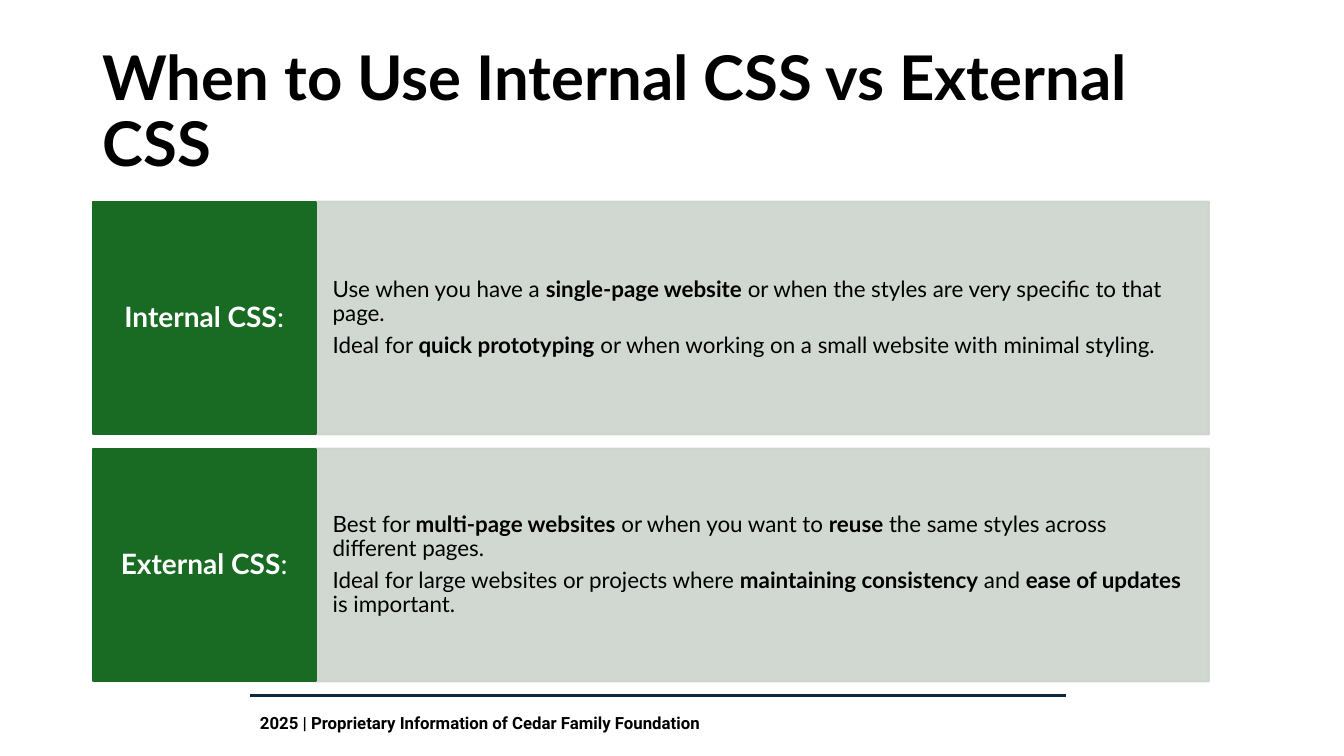
from dataclasses import dataclass

import lxml.etree
import pptx
import pptx.dml.color
import pptx.enum.shapes
import pptx.enum.text
import pptx.oxml.ns
import pptx.util

EMU_PER_PX = 9144  # 100 px to the inch
BLACK, WHITE, GREEN, SAGE, NAVY = "000000", "FFFFFF", "196B24", "CCD4CD", "0E2841"
ALIGN = pptx.enum.text.PP_ALIGN
ANCHOR = pptx.enum.text.MSO_ANCHOR


@dataclass(frozen=True)
class Box:
    left: int
    top: int
    width: int
    height: int


@dataclass(frozen=True)
class Usage:
    heading: str
    advice: tuple[str, ...]


# Text between ** marks is bold
USAGES = (
    Usage("**Internal CSS**:", (
        "Use when you have a **single-page website** or when the styles are "
        "very specific to that page.",
        "Ideal for **quick prototyping** or when working on a small website "
        "with minimal styling.",
    )),
    Usage("**External CSS**:", (
        "Best for **multi-page websites** or when you want to **reuse** the "
        "same styles across different pages.",
        "Ideal for large websites or projects where **maintaining consistency** "
        "and **ease of updates** is important.",
    )),
)
LABEL_LEFT, LABEL_WIDTH = 92, 221
ADVICE_WIDTH = 886
ROW_TOP, ROW_HEIGHT, ROW_PITCH = 200, 231, 245


def px(length: int) -> pptx.util.Emu:
    return pptx.util.Emu(length * EMU_PER_PX)


def rgb(color: str) -> pptx.dml.color.RGBColor:
    return pptx.dml.color.RGBColor.from_string(color)


def place(box: Box) -> tuple[pptx.util.Emu, ...]:
    return px(box.left), px(box.top), px(box.width), px(box.height)


def write(shape, paragraphs: tuple[str, ...], *, size: int, color: str = BLACK,
          font: str = "Lato", align=ALIGN.LEFT, anchor=ANCHOR.MIDDLE,
          inset: tuple[int, int] = (10, 5), spacing: float = 0.9,
          after: float = 0) -> None:
    frame = shape.text_frame
    frame.word_wrap = True
    frame.vertical_anchor = anchor
    frame.margin_left = frame.margin_right = px(inset[0])
    frame.margin_top = frame.margin_bottom = px(inset[1])
    for index, text in enumerate(paragraphs):
        paragraph = frame.add_paragraph() if index else frame.paragraphs[0]
        paragraph.alignment = align
        paragraph.line_spacing = spacing
        paragraph.space_after = pptx.util.Pt(after)
        for part, piece in enumerate(text.split("**")):
            if piece:
                run = paragraph.add_run()
                run.text = piece
                run.font.name = font
                run.font.size = pptx.util.Pt(size)
                run.font.bold = part % 2 == 1
                run.font.color.rgb = rgb(color)


def add_panel(slide, box: Box, color: str, opacity: int = 100):
    panel = slide.shapes.add_shape(
        pptx.enum.shapes.MSO_SHAPE.RECTANGLE, *place(box))
    panel.shadow.inherit = False
    panel.fill.solid()
    panel.fill.fore_color.rgb = rgb(color)
    panel.line.color.rgb = rgb(color)
    panel.line.width = pptx.util.Pt(1.5)
    if opacity < 100:
        # Fill and line share the same transparency
        for paint in panel._element.spPr.iter(pptx.oxml.ns.qn("a:srgbClr")):
            alpha = lxml.etree.SubElement(paint, pptx.oxml.ns.qn("a:alpha"))
            alpha.set("val", str(opacity * 1000))
    return panel


def add_usage(slide, usage: Usage, top: int) -> None:
    advice = add_panel(
        slide, Box(LABEL_LEFT + LABEL_WIDTH, top, ADVICE_WIDTH, ROW_HEIGHT),
        SAGE, opacity=90)
    write(advice, usage.advice, size=16, inset=(17, 59), after=5.6)
    label = add_panel(
        slide, Box(LABEL_LEFT, top, LABEL_WIDTH, ROW_HEIGHT), GREEN)
    write(label, (usage.heading,), size=20, color=WHITE, align=ALIGN.CENTER,
          inset=(12, 23), after=7)


def main() -> None:
    deck = pptx.Presentation()
    deck.slide_width, deck.slide_height = px(1333), px(750)
    slide = deck.slides.add_slide(deck.slide_layouts[6])

    # Footer
    footer = slide.shapes.add_textbox(*place(Box(248, 697, 809, 43)))
    write(footer, ("**2025 | Proprietary Information of Cedar Family Foundation**",),
          size=12, font="Roboto", anchor=ANCHOR.TOP, inset=(10, 10), spacing=1.0)
    footer_rule = slide.shapes.add_connector(
        pptx.enum.shapes.MSO_CONNECTOR.STRAIGHT,
        px(248), px(690), px(1057), px(690))
    footer_rule.line.color.rgb = rgb(NAVY)
    footer_rule.line.width = pptx.util.Pt(1.5)
    lxml.etree.SubElement(
        footer_rule._element.spPr, pptx.oxml.ns.qn("a:effectLst"))

    # Title
    title = slide.shapes.add_textbox(*place(Box(92, 40, 1150, 145)))
    write(title, ("**When to Use Internal CSS vs External CSS**",), size=44)

    # Usage rows
    for row, usage in enumerate(USAGES):
        add_usage(slide, usage, ROW_TOP + row * ROW_PITCH)

    deck.save("out.pptx")


if __name__ == "__main__":
    main()
